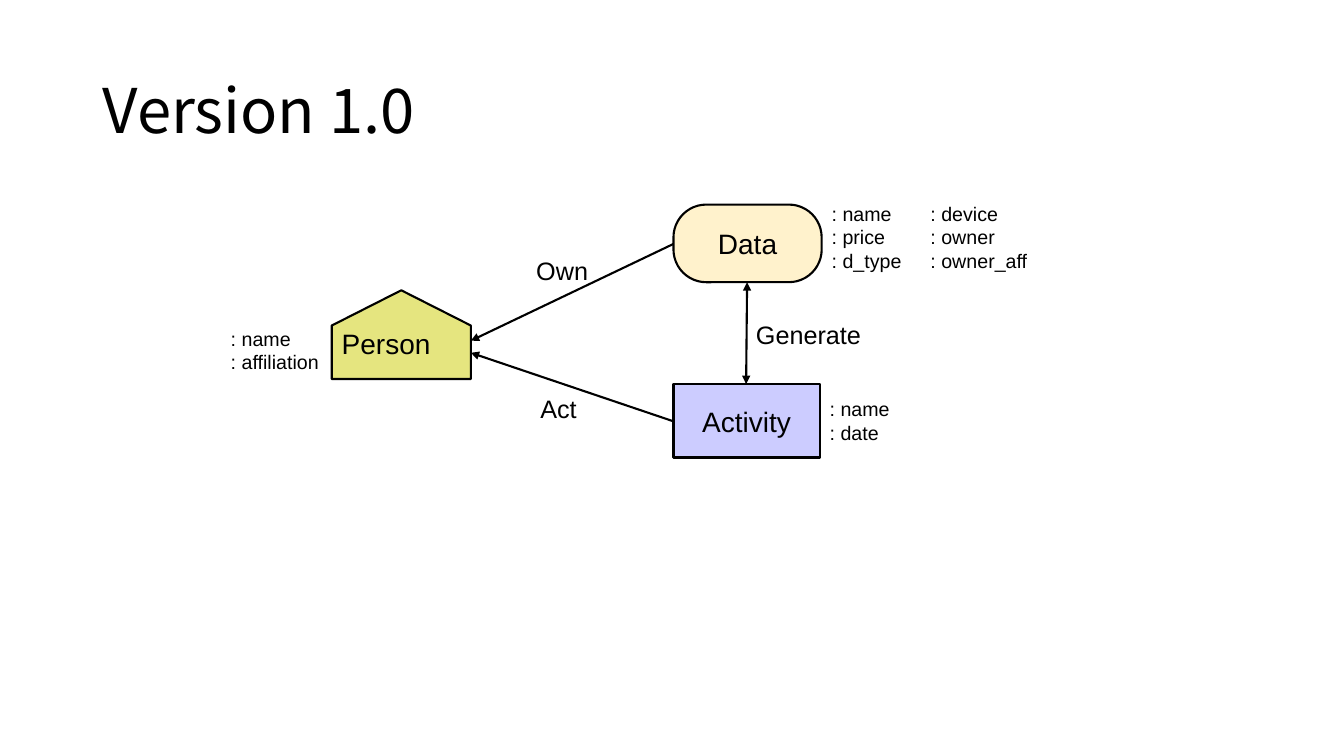
import pptx
import pptx.util
import pptx.dml.color
import pptx.enum.shapes
import pptx.enum.text
import pptx.oxml.ns
import lxml.etree

Inches = pptx.util.Inches
Shape = pptx.enum.shapes.MSO_SHAPE
Align = pptx.enum.text.PP_ALIGN
Anchor = pptx.enum.text.MSO_ANCHOR
qn = pptx.oxml.ns.qn


def color(hex_code):
    return pptx.dml.color.RGBColor.from_string(hex_code)


def write(box, text, size, font="Arial", align=Align.LEFT, anchor=Anchor.TOP):
    frame = box.text_frame
    frame.word_wrap = True
    frame.vertical_anchor = anchor
    frame.text = text
    for paragraph in frame.paragraphs:
        paragraph.alignment = align
        paragraph.font.size = pptx.util.Pt(size)
        paragraph.font.name = font
        paragraph.font.color.rgb = color("000000")


deck = pptx.Presentation()
deck.slide_width, deck.slide_height = Inches(13.33), Inches(7.5)
slide = deck.slides.add_slide(deck.slide_layouts[6])

# Title
title = slide.shapes.add_textbox(Inches(0.92), Inches(0.4), Inches(11.5), Inches(1.45))
write(title, "Version 1.0", 44, "Noto Sans CJK KR", anchor=Anchor.MIDDLE)
title.text_frame.paragraphs[0].line_spacing = 0.9

# Entities; the pentagon is turned upwards with its text kept level
entities = [
    ("Person", Shape.PENTAGON, 3.54, 2.63, 0.88, 1.38, "E5E57F", 0.397),
    ("Data", Shape.ROUNDED_RECTANGLE, 6.68, 2.03, 1.47, 0.77, "FFF2CC", 0.422),
    ("Activity", Shape.RECTANGLE, 6.68, 3.81, 1.45, 0.73, "CCCCFF", None),
]
for name, outline, left, top, width, height, fill, adjustment in entities:
    entity = slide.shapes.add_shape(
        outline, Inches(left), Inches(top), Inches(width), Inches(height))
    entity.shadow.inherit = False
    entity.fill.solid()
    entity.fill.fore_color.rgb = color(fill)
    entity.line.color.rgb = color("000000")
    entity.line.width = pptx.util.Pt(1.5)
    if adjustment:
        entity.adjustments[0] = adjustment
    write(entity, name, 20, align=Align.CENTER, anchor=Anchor.MIDDLE)
    if name == "Person":
        entity.rotation = 270
        entity.text_frame._txBody.bodyPr.set("vert", "eaVert")

# Relations
relations = [
    (4.67, 3.38, 6.68, 2.42, ["headEnd"]),
    (4.67, 3.5, 6.68, 4.18, ["headEnd"]),
    (7.41, 2.8, 7.4, 3.81, ["headEnd", "tailEnd"]),
]
for x1, y1, x2, y2, arrowheads in relations:
    relation = slide.shapes.add_connector(
        pptx.enum.shapes.MSO_CONNECTOR.STRAIGHT,
        Inches(x1), Inches(y1), Inches(x2), Inches(y2))
    relation.line.color.rgb = color("000000")
    relation.line.width = pptx.util.Pt(1.5)
    properties = relation._element.spPr
    for end in arrowheads:
        lxml.etree.SubElement(properties.find(qn("a:ln")), qn("a:" + end), type="triangle")
    lxml.etree.SubElement(properties, qn("a:effectLst"))

# Relation names and entity attributes
labels = [
    ("Generate", 7.4, 3.12, 1.84, 0.41, 18),
    ("Own", 5.22, 2.48, 0.82, 0.4, 18),
    ("Act", 5.26, 3.85, 0.82, 0.4, 18),
    (": name\n: date", 8.13, 3.89, 1.09, 0.57, 14),
    (": name\n: affiliation", 2.19, 3.19, 1.09, 0.57, 14),
    (": device\n: owner\n: owner_aff", 9.13, 1.95, 1.68, 0.81, 14),
    (": name\n: price\n: d_type", 8.15, 1.95, 0.99, 0.81, 14),
]
for text, left, top, width, height, size in labels:
    label = slide.shapes.add_textbox(
        Inches(left), Inches(top), Inches(width), Inches(height))
    write(label, text, size)
    label.text_frame.auto_size = pptx.enum.text.MSO_AUTO_SIZE.SHAPE_TO_FIT_TEXT

deck.save("out.pptx")
